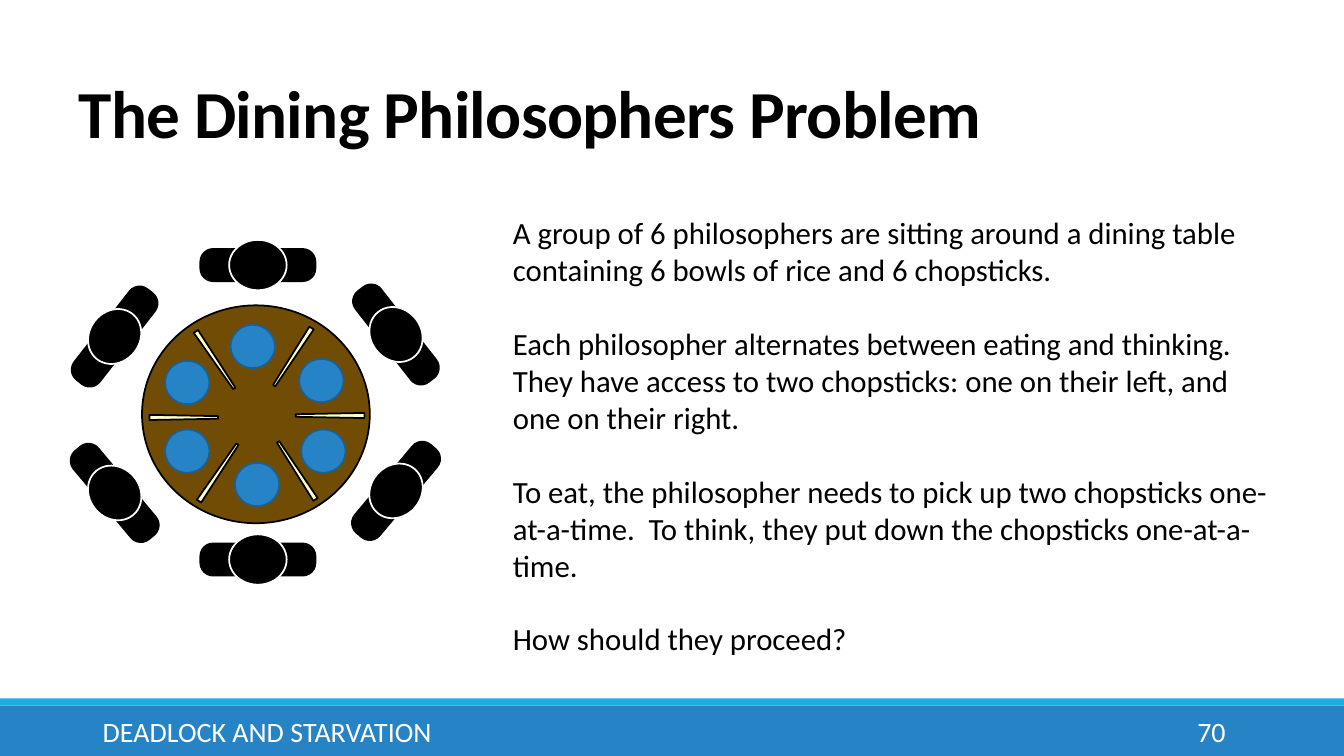
from pptx import Presentation
from pptx.dml.color import RGBColor
from pptx.enum.shapes import MSO_SHAPE
from pptx.enum.text import MSO_ANCHOR, MSO_AUTO_SIZE, PP_ALIGN
from pptx.oxml.ns import qn
from pptx.util import Cm, Pt

RECT, OVAL = MSO_SHAPE.RECTANGLE, MSO_SHAPE.OVAL
ROUNDED, TRAPEZOID = MSO_SHAPE.ROUNDED_RECTANGLE, MSO_SHAPE.TRAPEZOID
LEFT, RIGHT = PP_ALIGN.LEFT, PP_ALIGN.RIGHT
TOP, MIDDLE, BOTTOM = MSO_ANCHOR.TOP, MSO_ANCHOR.MIDDLE, MSO_ANCHOR.BOTTOM
NO_AUTOSIZE = MSO_AUTO_SIZE.NONE

BLACK = RGBColor(0x00, 0x00, 0x00)
WHITE = RGBColor(0xFF, 0xFF, 0xFF)
BLUE = RGBColor(0x26, 0x83, 0xC6)
DARK_BLUE = RGBColor(0x1C, 0x61, 0x92)
CYAN = RGBColor(0x1C, 0xAD, 0xE4)
BROWN = RGBColor(0x70, 0x4C, 0x04)
CREAM = RGBColor(0xFF, 0xFF, 0xCC)

FONT = "Calibri"
SLIDE_WIDTH, SLIDE_HEIGHT = 33.87, 19.05
TABLE_SIZE = (5.74, 5.49)

PHILOSOPHERS = [
    (-3.56, -1.96, 308), (0.05, -3.76, 0), (0.05, 3.66, 0),
    (-3.56, 1.98, 230), (3.53, -2.01, 52), (3.53, 1.93, 130),
]
CHOPSTICKS = [
    (1.87, 0.03, 270), (1.03, 1.42, 327), (-0.95, 1.47, 34),
    (-1.82, 0.08, 90), (0.93, -1.45, 213), (-1.03, -1.37, 146),
]
BOWLS = [
    (-0.08, -1.71), (1.65, -0.85), (1.7, 0.93),
    (0.03, 1.77), (-1.73, 0.93), (-1.73, -0.8),
]
STORY = [
    "A group of 6 philosophers are sitting around a dining table containing "
    "6 bowls of rice and 6 chopsticks.",
    "Each philosopher alternates between eating and thinking.  They have access "
    "to two chopsticks: one on their left, and one on their right.",
    "To eat, the philosopher needs to pick up two chopsticks one-at-a-time.  "
    "To think, they put down the chopsticks one-at-a-time.",
    "How should they proceed?",
]


def place(shape, left, top, width, height):
    shape.left, shape.top = Cm(left), Cm(top)
    shape.width, shape.height = Cm(width), Cm(height)


def style_font(paragraph, size, color, bold=False):
    font = paragraph.font
    font.name, font.size, font.bold = FONT, Pt(size), bold
    font.color.rgb = color


def add_filled(shapes, kind, left, top, width, height, fill, line=None):
    shape = shapes.add_shape(kind, Cm(left), Cm(top), Cm(width), Cm(height))
    shape.shadow.inherit = False
    shape.fill.solid()
    shape.fill.fore_color.rgb = fill
    if line is None:
        shape.line.fill.background()
    else:
        shape.line.color.rgb = line
        shape.line.width = Pt(1.25)
    return shape


def add_centred(shapes, kind, x, y, size, fill, line, rotation=0):
    width, height = size
    shape = add_filled(shapes, kind, x - width / 2, y - height / 2,
                       width, height, fill, line)
    shape.rotation = rotation
    return shape


def add_footer_text(slide, left, top, width, height, text, alignment):
    box = slide.shapes.add_textbox(Cm(left), Cm(top), Cm(width), Cm(height))
    frame = box.text_frame
    frame.word_wrap = True
    frame.vertical_anchor = MIDDLE
    frame.text = text
    paragraph = frame.paragraphs[0]
    paragraph.alignment = alignment
    style_font(paragraph, 20, WHITE)


def add_footer(slide, left, top, width, height):
    stripe = 0.18
    add_filled(slide.shapes, RECT, left, top + stripe, width, height - stripe, BLUE)
    add_filled(slide.shapes, RECT, left, top, width, stripe, CYAN)
    add_footer_text(slide, left + 2.34, top + 0.33, 21.31, 1.02,
                    "DEADLOCK AND STARVATION", LEFT)
    add_footer_text(slide, left + 27.51, top + 0.33, 3.63, 1.02, "70", RIGHT)


def add_title(slide, left, top, width, height):
    title = slide.shapes.title
    place(title, left, top, width, height)
    frame = title.text_frame
    frame.auto_size = NO_AUTOSIZE
    frame.vertical_anchor = BOTTOM
    frame.text = "The Dining Philosophers Problem"
    paragraph = frame.paragraphs[0]
    paragraph.alignment = LEFT
    paragraph.line_spacing = 0.85
    style_font(paragraph, 48, BLACK, bold=True)
    paragraph.runs[0].font._element.set("spc", "-50")


def add_story(slide, left, top, width, height):
    body = slide.placeholders[1]
    place(body, left, top, width, height)
    frame = body.text_frame
    frame.auto_size = NO_AUTOSIZE
    frame.vertical_anchor = TOP
    frame.text = "\n".join(STORY)
    for index, paragraph in enumerate(frame.paragraphs):
        properties = paragraph._p.get_or_add_pPr()
        properties.set("marL", "0")
        properties.set("indent", "0")
        properties.append(properties.makeelement(qn("a:buNone"), {}))
        paragraph.space_before = Pt(26.4 if index else 0)
        style_font(paragraph, 22, BLACK)


def add_dining_table(slide, left, top, width, height):
    shapes = slide.shapes.add_group_shape().shapes
    x, y = left + width / 2, top + height / 2
    for dx, dy, rotation in PHILOSOPHERS:
        shoulders = add_centred(shapes, ROUNDED, x + dx, y + dy, (2.9, 0.81),
                                BLACK, BLACK, rotation)
        shoulders.adjustments[0] = 0.395
        add_centred(shapes, OVAL, x + dx, y + dy, (1.45, 1.27),
                    BLACK, WHITE, rotation)
    add_centred(shapes, OVAL, x, y, TABLE_SIZE, BROWN, BLACK)
    for dx, dy, rotation in CHOPSTICKS:
        add_centred(shapes, TRAPEZOID, x + dx, y + dy, (0.13, 1.73),
                    CREAM, BLACK, rotation)
    for dx, dy in BOWLS:
        add_centred(shapes, OVAL, x + dx, y + dy, (1.12, 1.09), BLUE, DARK_BLUE)


def main():
    presentation = Presentation()
    presentation.slide_width = Cm(SLIDE_WIDTH)
    presentation.slide_height = Cm(SLIDE_HEIGHT)
    slide = presentation.slides.add_slide(presentation.slide_layouts[1])
    add_footer(slide, 0, 17.6, SLIDE_WIDTH, SLIDE_HEIGHT - 17.6)
    add_title(slide, 1.73, 1.8, 27.94, 2.16)
    add_dining_table(slide, 1.75, 6.04, 9.4, 8.8)
    add_story(slide, 12.67, 5.26, 19.76, 12.47)
    presentation.save("out.pptx")


if __name__ == "__main__":
    main()
